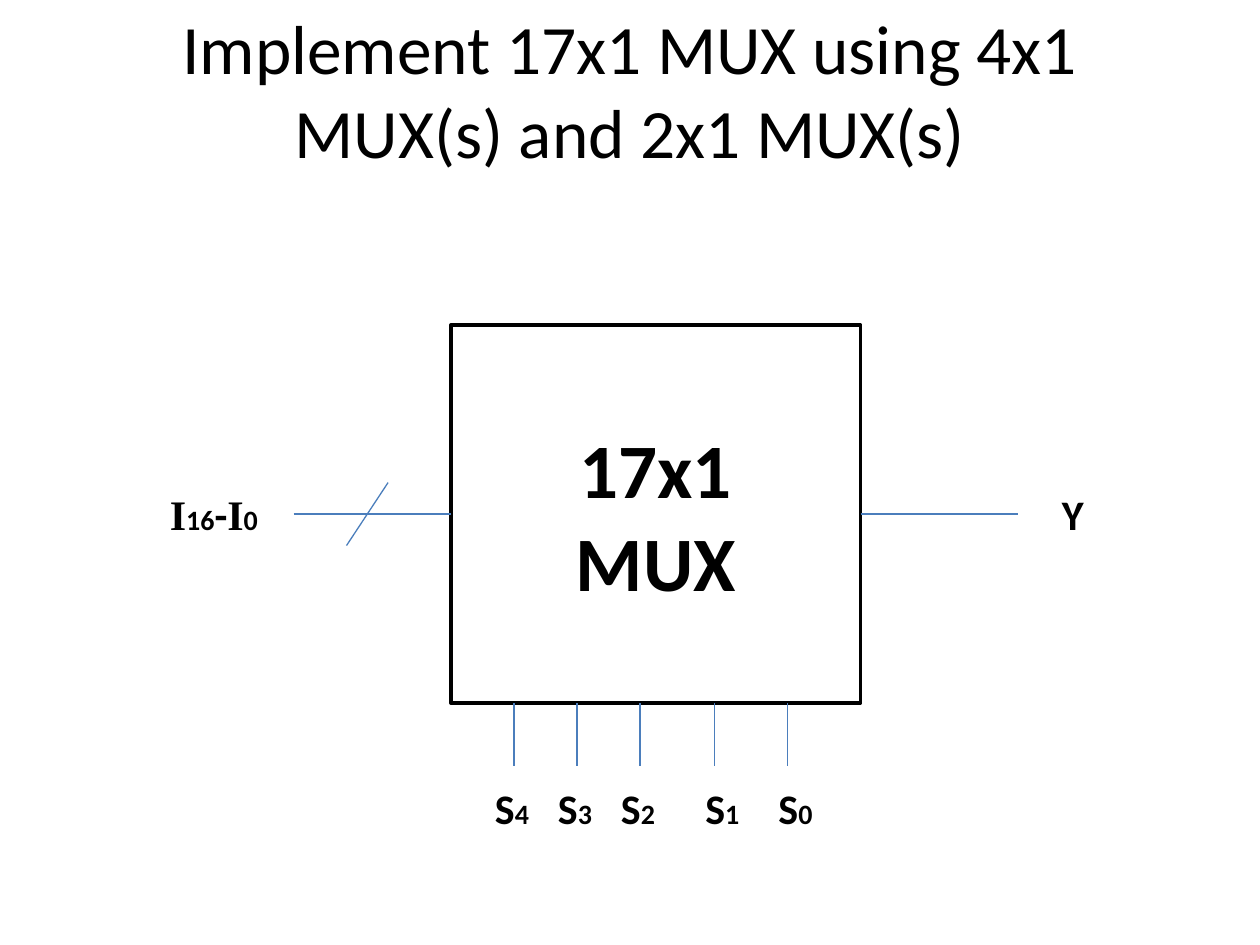
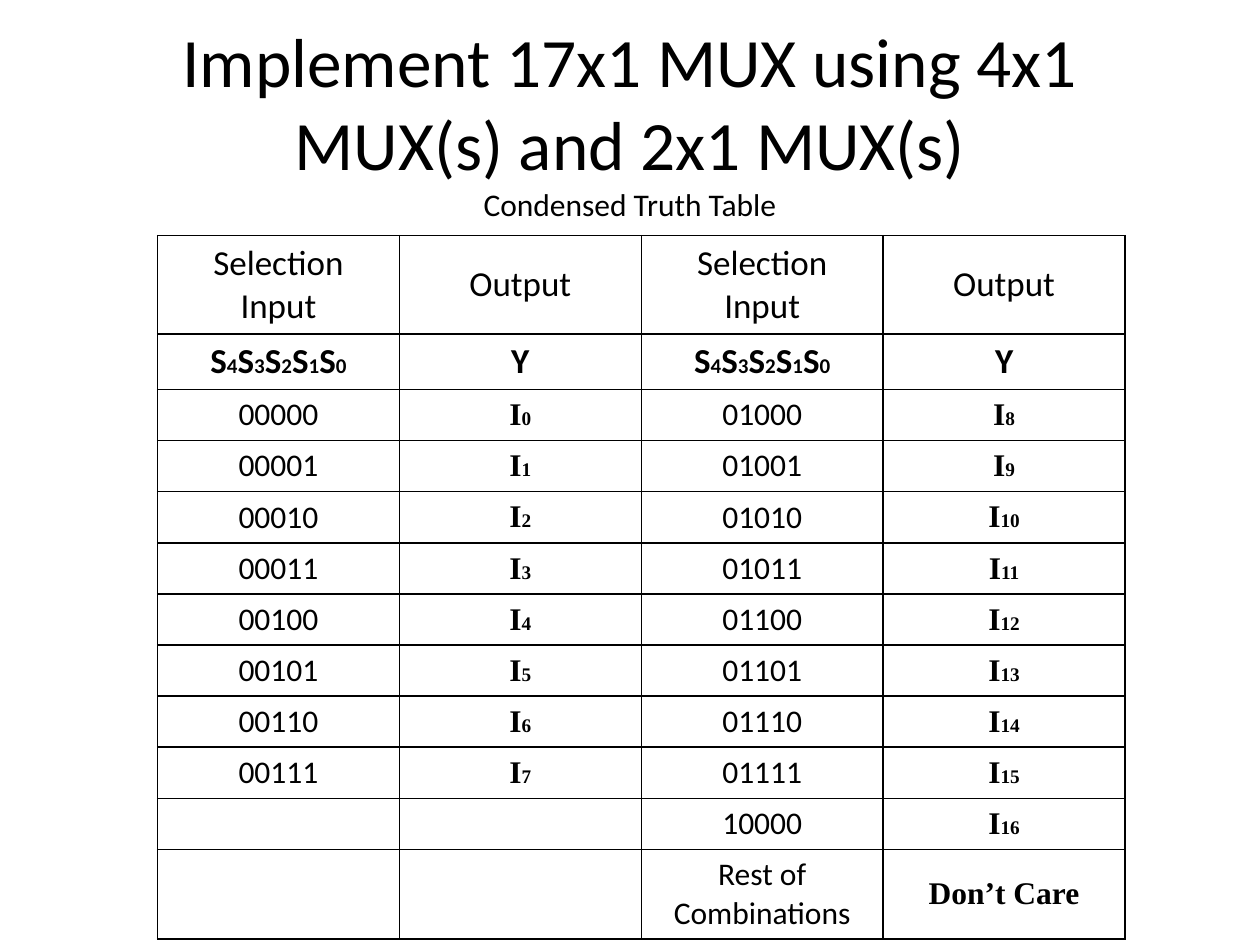
from lxml import etree
from pptx import Presentation
from pptx.dml.color import RGBColor
from pptx.enum.shapes import MSO_CONNECTOR, MSO_SHAPE
from pptx.enum.text import MSO_ANCHOR, MSO_AUTO_SIZE, PP_ALIGN
from pptx.oxml.ns import qn
from pptx.util import Inches, Pt

BLACK = RGBColor(0x00, 0x00, 0x00)
WHITE = RGBColor(0xFF, 0xFF, 0xFF)
WIRE_BLUE = RGBColor(0x4B, 0x7E, 0xBC)
SANS = "Calibri"
SERIF = "Times New Roman"
CENTER = PP_ALIGN.CENTER
LEFT = PP_ALIGN.LEFT
MIDDLE = MSO_ANCHOR.MIDDLE
NO_FIT = MSO_AUTO_SIZE.NONE
GROW = MSO_AUTO_SIZE.SHAPE_TO_FIT_TEXT
RECTANGLE = MSO_SHAPE.RECTANGLE
STRAIGHT = MSO_CONNECTOR.STRAIGHT
TITLE_ONLY = 5
LEFT_SIDE, RIGHT_SIDE = 1, 3
HEADING = "Implement 17x1 MUX using 4x1 MUX(s) and 2x1 MUX(s)"


def select_name(index, size, small):
    return [("S", size, SANS, True), (str(index), small, SANS, True)]


def input_name(index, size, small, index_font):
    return [("I", size, SERIF, True), (str(index), small, index_font, True)]


class Deck:
    def __init__(self):
        self.prs = Presentation()
        self.prs.slide_width = Inches(10)
        self.prs.slide_height = Inches(7.5)
        self.slide = None

    def new_slide(self, title_top, subtitle=None):
        self.slide = self.prs.slides.add_slide(self.prs.slide_layouts[TITLE_ONLY])
        title = self.slide.shapes.title
        title.left, title.top = Inches(0.5), Inches(title_top)
        title.width, title.height = Inches(9), Inches(1.25)
        title.text_frame.auto_size = NO_FIT
        title.text_frame.vertical_anchor = MIDDLE
        self.add_lines(title.text_frame, [[(HEADING, 39.6, SANS, False)]])
        if subtitle:
            paragraph = title.text_frame.paragraphs[0]
            paragraph.add_line_break()
            self.add_run(paragraph, subtitle, 18, SANS, False)

    def add_run(self, paragraph, text, size, font, bold):
        run = paragraph.add_run()
        run.text = text
        run.font.size = Pt(size)
        run.font.name = font
        run.font.bold = bold
        run.font.color.rgb = BLACK

    def add_lines(self, frame, lines, align=CENTER):
        for number, runs in enumerate(lines):
            paragraph = frame.add_paragraph() if number else frame.paragraphs[0]
            paragraph.alignment = align
            for run in runs:
                self.add_run(paragraph, *run)

    def box(self, left, top, width, height, lines):
        shape = self.slide.shapes.add_shape(
            RECTANGLE, Inches(left), Inches(top), Inches(width), Inches(height))
        shape.shadow.inherit = False
        shape.fill.background()
        shape.line.color.rgb = BLACK
        shape.line.width = Pt(2)
        shape.text_frame.vertical_anchor = MIDDLE
        self.add_lines(shape.text_frame, lines)
        return shape

    def wire(self, x1, y1, x2, y2):
        line = self.slide.shapes.add_connector(
            STRAIGHT, Inches(x1), Inches(y1), Inches(x2), Inches(y2))
        line.line.color.rgb = WIRE_BLUE
        line.line.width = Pt(0.75)
        etree.SubElement(line._element.spPr, qn("a:effectLst"))
        return line

    def label(self, left, top, width, runs):
        textbox = self.slide.shapes.add_textbox(
            Inches(left), Inches(top), Inches(width), Inches(0.5))
        textbox.text_frame.word_wrap = False
        textbox.text_frame.auto_size = GROW
        self.add_lines(textbox.text_frame, [runs], LEFT)

    def table(self, left, top, column_width, row_height, rows):
        columns = len(rows[0])
        table = self.slide.shapes.add_table(
            len(rows), columns, Inches(left), Inches(top),
            Inches(column_width * columns), Inches(row_height * len(rows))).table
        table.first_row = False
        table.horz_banding = False
        for column in table.columns:
            column.width = Inches(column_width)
        for r, row in enumerate(rows):
            for c, lines in enumerate(row):
                cell = table.cell(r, c)
                cell.vertical_anchor = MIDDLE
                self.add_lines(cell.text_frame, lines)
                self.border(cell)
                cell.fill.solid()
                cell.fill.fore_color.rgb = WHITE

    def border(self, cell):
        properties = cell._tc.get_or_add_tcPr()
        for side in ("a:lnL", "a:lnR", "a:lnT", "a:lnB"):
            edge = etree.SubElement(properties, qn(side), w=str(Pt(1)))
            fill = etree.SubElement(edge, qn("a:solidFill"))
            etree.SubElement(fill, qn("a:srgbClr"), val=str(BLACK))


def block_diagram(deck):
    deck.new_slide(0.08)
    mux = deck.box(3.58, 2.58, 3.25, 3,
                   [[(word, 44, SANS, True)] for word in ("17x1", "MUX")])
    input_bus = deck.wire(2.33, 4.08, 3.58, 4.08)
    input_bus.end_connect(mux, LEFT_SIDE)
    deck.wire(3.08, 3.83, 2.75, 4.33)
    deck.label(1.25, 3.83, 0.91, input_name(16, 24, 16, SANS)
               + [("-", 24, SANS, True)] + input_name(0, 24, 16, SANS))
    output = deck.wire(6.83, 4.08, 8.08, 4.08)
    output.begin_connect(mux, RIGHT_SIDE)
    deck.label(8.33, 3.83, 0.38, [("Y", 24, SANS, True)])

    select_lines = [(6.25, 6.08), (5.67, 5.5), (5.08, 4.83), (4.58, 4.33), (4.08, 3.83)]
    for index, (wire_x, label_x) in enumerate(select_lines):
        deck.wire(wire_x, 5.58, wire_x, 6.08)
        deck.label(label_x, 6.16, 0.48, select_name(index, 24, 16))


def truth_table(deck):
    deck.new_slide(0.33, "Condensed Truth Table")

    def entry(index):
        return [[[(f"{index:05b}", 18, SANS, False)]],
                [input_name(index, 18, 11, SERIF)]]

    selection = [[(word, 20, SANS, False)] for word in ("Selection", "Input")]
    output = [[("Output", 20, SANS, False)]]
    selects = [[run for index in range(4, -1, -1) for run in select_name(index, 20, 12)]]
    y_output = [[("Y", 20, SANS, True)]]
    blank = [[], []]
    rest = [[[("Rest of Combinations", 18, SANS, False)]],
            [[("Don’t Care", 18, SERIF, True)]]]

    rows = [[selection, output] * 2, [selects, y_output] * 2]
    rows += [entry(index) + entry(index + 8) for index in range(8)]
    rows += [blank + entry(16), blank + rest]
    deck.table(1.25, 1.87, 1.92, 0.4, rows)


def main():
    deck = Deck()
    block_diagram(deck)
    truth_table(deck)
    deck.prs.save("out.pptx")


if __name__ == "__main__":
    main()
